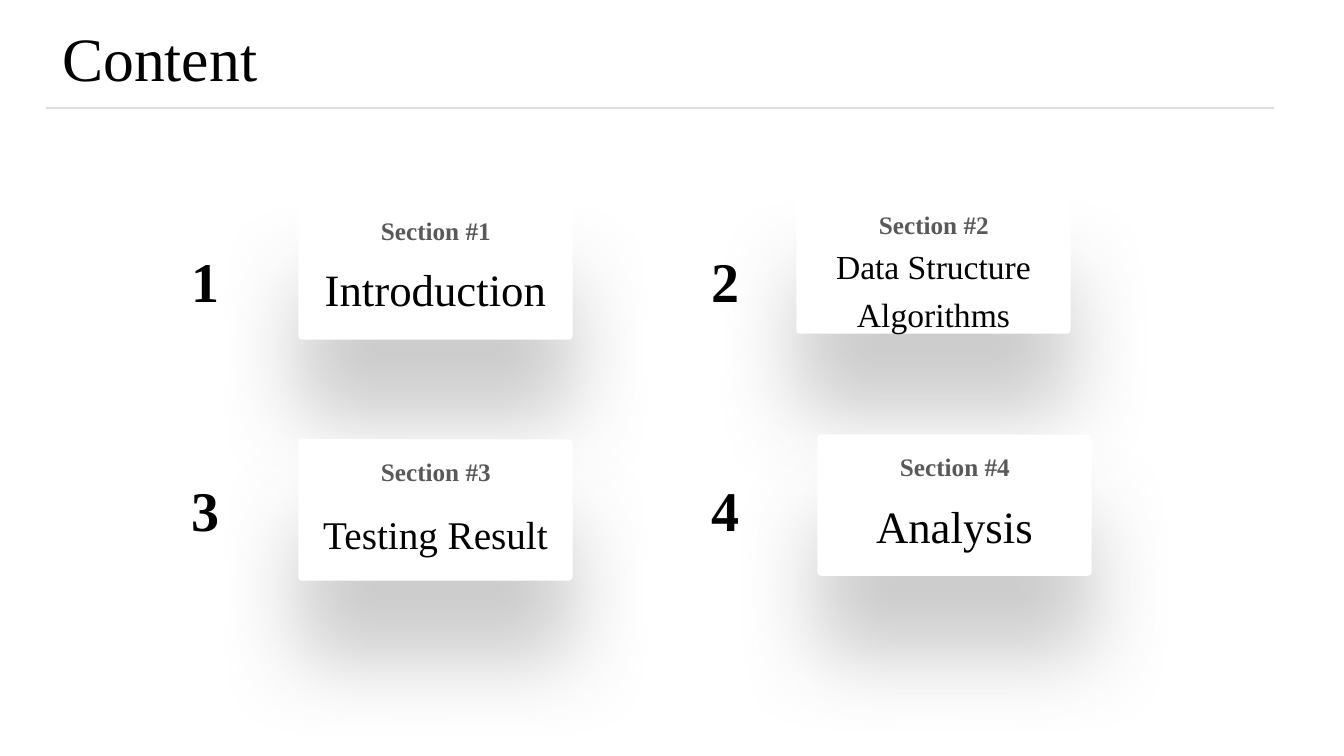
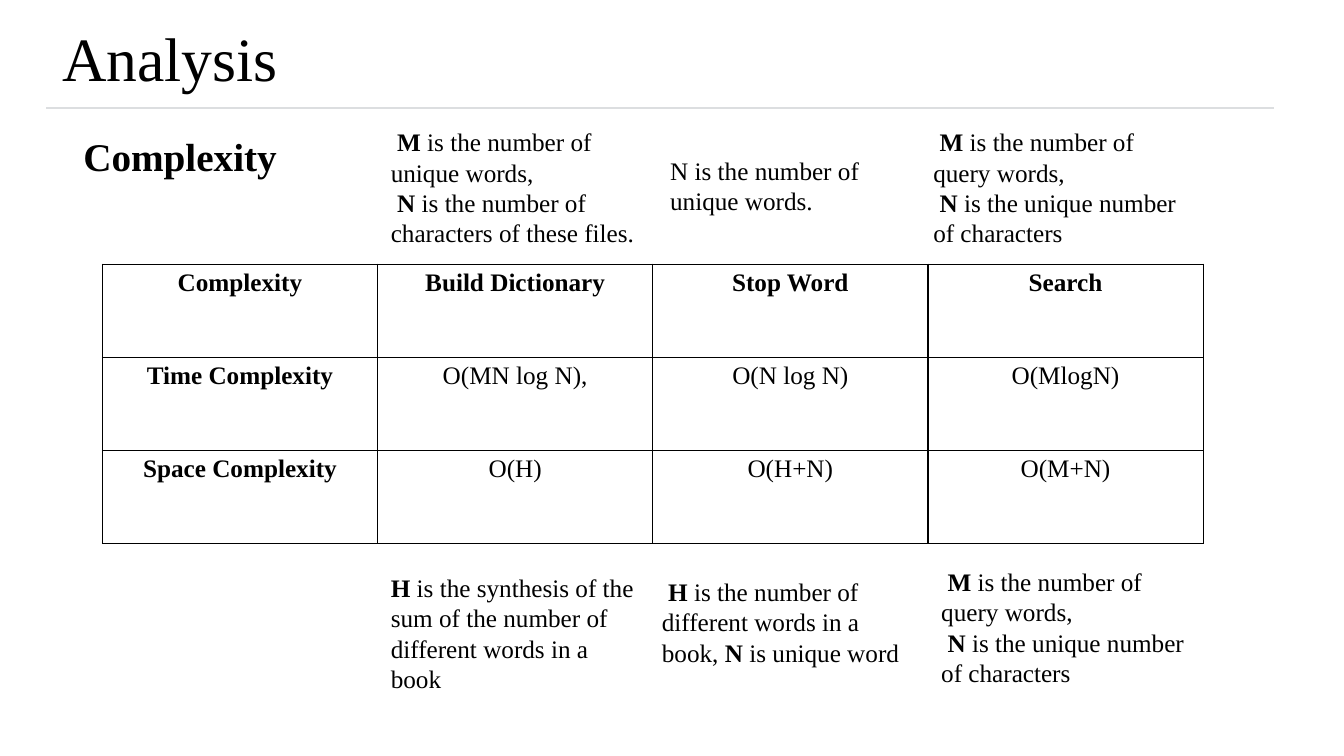
from lxml import etree
from pptx import Presentation
from pptx.dml.color import RGBColor as RGB
from pptx.enum.shapes import MSO_CONNECTOR as CONN, MSO_SHAPE as SHAPE
from pptx.enum.text import MSO_ANCHOR as ANCHOR, PP_ALIGN as ALIGN
from pptx.oxml import parse_xml
from pptx.oxml.ns import nsdecls, qn
from pptx.util import Cm, Pt

COLORS = {"text": "000000", "label": "595959", "rule": "DCDEE0",
          "card": "FFFFFF", "shadow": "808080", "border": "000000"}
FONT = "Times New Roman"
TITLE_BOX = (1.57, 0.46, 17.63, 1.9)


def add_runs(p, text, size, color="text", bold=False, **para):
    """Write text into p; parts between asterisks switch the weight."""
    for name, value in para.items():
        setattr(p, name, value)
    for i, part in enumerate(text.split("*")):
        if not part:
            continue
        r = p.add_run()
        r.text = part
        fmt = {"name": FONT, "size": Pt(size), "bold": bold != bool(i % 2)}
        for name, value in fmt.items():
            setattr(r.font, name, value)
        r.font.color.rgb = RGB.from_string(COLORS[color])


def add_text(s, box, text, size, wrap=True, **fmt):
    """Add a text box, one paragraph for each line of text."""
    sp = s.shapes.add_textbox(*map(Cm, box))
    tf = sp.text_frame
    tf.word_wrap = wrap
    for i, line in enumerate(text.split("\n")):
        p = tf.add_paragraph() if i else tf.paragraphs[0]
        add_runs(p, line, size, **fmt)
    return tf


prs = Presentation()
prs.slide_width, prs.slide_height = Cm(33.87), Cm(19.05)

# Shared title and rule
slides = []
for title in ("Content", "Analysis"):
    s = prs.slides.add_slide(prs.slide_layouts[6])
    rule = s.shapes.add_connector(CONN.STRAIGHT, Cm(1.17), Cm(2.72), Cm(32.11), Cm(2.72))
    rule.line.color.rgb = RGB.from_string(COLORS["rule"])
    rule.line.width = Pt(1.65)
    etree.SubElement(rule._element.spPr, qn("a:effectLst"))
    tf = add_text(s, TITLE_BOX, title, 44)
    frame = {"margin_left": 0, "margin_right": 0, "margin_top": Cm(0.03),
             "margin_bottom": 0, "vertical_anchor": ANCHOR.MIDDLE}
    for name, value in frame.items():
        setattr(tf, name, value)
    slides.append(s)
content, analysis = slides

# Section cards: left, top, heading top, heading, heading size
CARD_W, CARD_H = 6.91, 3.56
cards = [
    (7.52, 5.0, 6.2, "Introduction", 32),
    (20.07, 4.85, 5.87, "Data Structure Algorithms", 24),
    (7.52, 11.07, 12.5, "Testing Result", 28),
    (20.6, 10.95, 12.17, "Analysis", 32),
]
for i, (left, top, heading_top, heading, size) in enumerate(cards):
    card = content.shapes.add_shape(SHAPE.ROUNDED_RECTANGLE, Cm(left), Cm(top),
                                    Cm(CARD_W), Cm(CARD_H))
    card.adjustments[0] = 0.026
    card.fill.solid()
    card.fill.fore_color.rgb = RGB.from_string(COLORS["card"])
    card.line.fill.background()
    card.shadow.inherit = False
    card._element.spPr.find(qn("a:effectLst")).append(parse_xml(
        f'<a:outerShdw {nsdecls("a")} blurRad="{Pt(60)}" dist="{Pt(57)}" '
        f'dir="5400000" algn="t" rotWithShape="0">'
        f'<a:srgbClr val="{COLORS["shadow"]}"><a:alpha val="40000"/></a:srgbClr>'
        f'</a:outerShdw>'))
    add_text(content, (left + 0.53, top + 0.31, 5.87, 1.02), f"Section #{i + 1}", 18,
             color="label", bold=True, alignment=ALIGN.CENTER)
    add_text(content, (left, heading_top, CARD_W, 1.78), heading, size,
             alignment=ALIGN.CENTER, line_spacing=1.2)

# Section numbers on a two by two grid
for i in range(len(cards)):
    row, col = divmod(i, 2)
    add_text(content, (4.57 + col * 13.11, 6.1 + row * 5.76, 1.22, 1.96), str(i + 1), 40,
             wrap=False, bold=True)

# Complexity table
add_text(analysis, (1.85, 3.2, 15.49, 1.45), "Complexity", 28, bold=True)
rows = [
    ("Complexity", "Build Dictionary", "Stop Word", "Search"),
    ("Time Complexity", "O(MN log N),", "O(N log N)", "O(MlogN)"),
    ("Space Complexity", "O(H)", "O(H+N)", "O(M+N)"),
]
table = analysis.shapes.add_table(len(rows), len(rows[0]), Cm(2.58), Cm(6.66),
                                  Cm(27.74), Cm(7.03)).table
for r, row in enumerate(rows):
    for c, text in enumerate(row):
        cell = table.cell(r, c)
        add_runs(cell.text_frame.paragraphs[0], text, 18, bold=r == 0 or c == 0,
                 alignment=ALIGN.CENTER)
        tcPr = cell._tc.get_or_add_tcPr()
        for side in "LRTB":
            tcPr.append(parse_xml(
                f'<a:ln{side} {nsdecls("a")} w="{Pt(1)}"><a:solidFill>'
                f'<a:srgbClr val="{COLORS["border"]}"/></a:solidFill></a:ln{side}>'))
        cell.fill.background()

# Notes around the table: left, top, height, first-line indent, text
NOTE_W, INDENT = 6.83, 0.16
query_note = "*M* is the number of query words,\n*N* is the unique number of characters"
notes = [
    (9.6, 3.07, 3.33, INDENT, "*M* is the number of unique words,\n"
                              "*N* is the number of characters of these files."),
    (16.64, 3.78, 1.8, 0, "N is the number of unique words."),
    (23.27, 3.07, 3.33, INDENT, query_note),
    (9.6, 14.3, 3.33, 0, "*H* is the synthesis of the sum of the number of "
                         "different words in a book"),
    (16.43, 14.4, 2.57, INDENT, "*H* is the number of different words in a book, "
                                "*N* is unique word"),
    (23.47, 14.15, 3.33, INDENT, query_note),
]
for left, top, height, indent, text in notes:
    tf = add_text(analysis, (left, top, NOTE_W, height), text, 18)
    for p in tf.paragraphs:
        p._p.get_or_add_pPr().set("indent", str(Cm(indent)))

prs.save("out.pptx")
